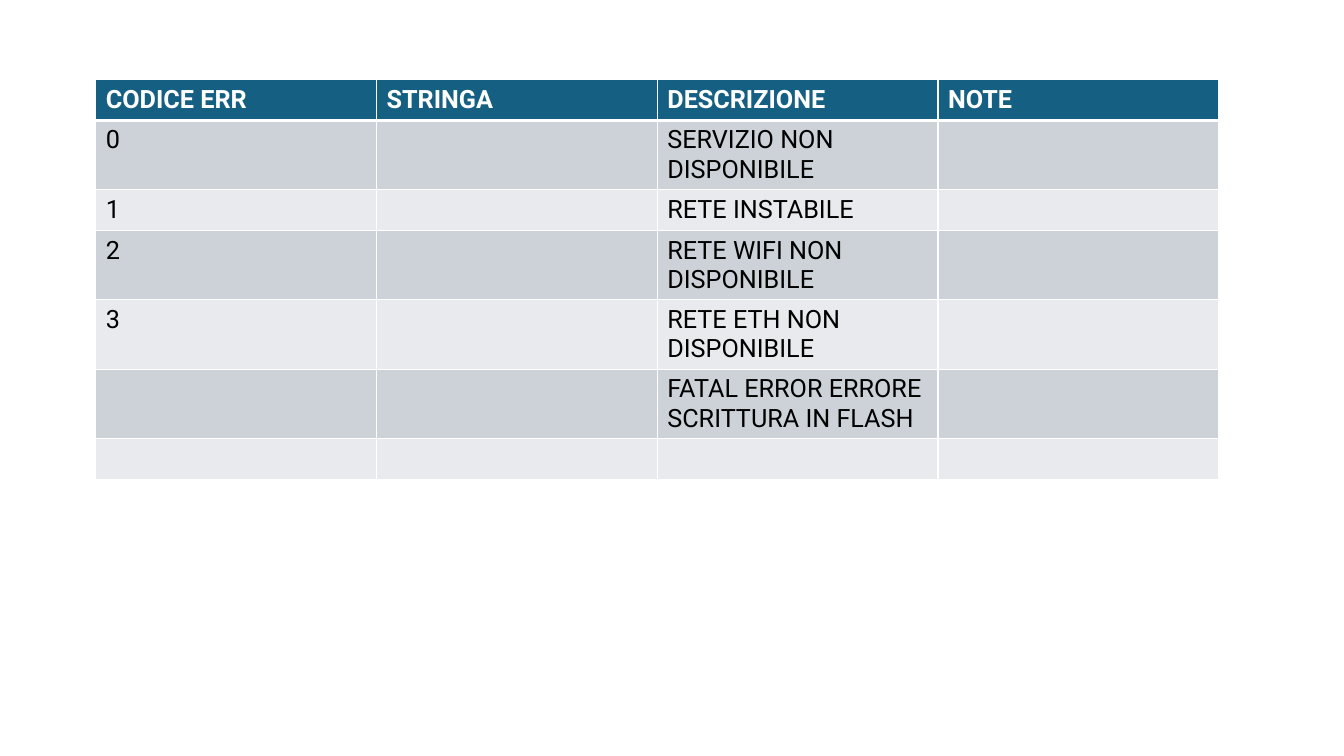
from lxml.etree import SubElement
from pptx import Presentation
from pptx.dml.color import RGBColor
from pptx.oxml.ns import qn
from pptx.util import Inches, Pt

WHITE = RGBColor(0xFF, 0xFF, 0xFF)
BLACK = RGBColor(0x00, 0x00, 0x00)
TEAL = RGBColor(0x15, 0x60, 0x82)
GREY = RGBColor(0xCC, 0xD2, 0xD8)
PALE = RGBColor(0xE8, 0xEA, 0xED)

ROWS = [
    ("CODICE ERR", "STRINGA", "DESCRIZIONE", "NOTE"),
    ("0", "", "SERVIZIO NON DISPONIBILE", ""),
    ("1", "", "RETE INSTABILE", ""),
    ("2", "", "RETE WIFI NON DISPONIBILE", ""),
    ("3", "", "RETE ETH NON DISPONIBILE", ""),
    ("", "", "FATAL ERROR ERRORE SCRITTURA IN FLASH", ""),
    ("", "", "", ""),
]


def write(frame, text, size=18, color=BLACK, bold=False):
    """Put formatted text in a frame."""
    run = frame.paragraphs[0].add_run()
    run.text = text
    run.font.name = "Roboto"
    run.font.size = Pt(size)
    run.font.bold = bold
    run.font.color.rgb = color


def edge(cell, side, width):
    """Draw one white border of a cell."""
    props = cell._tc.get_or_add_tcPr()
    line = SubElement(props, qn(f"a:ln{side}"), w=str(Pt(width)))
    fill = SubElement(line, qn("a:solidFill"))
    SubElement(fill, qn("a:srgbClr"), val=str(WHITE))


def style(cell, fill, top=1, bottom=1):
    """Give a cell its borders and fill."""
    for side, width in (("L", 1), ("R", 1), ("T", top), ("B", bottom)):
        edge(cell, side, width)
    cell.fill.solid()
    cell.fill.fore_color.rgb = fill


def add_grid(slide, rows, left, top, width, height):
    """Add the table of error codes."""
    frame = slide.shapes.add_table(
        len(rows), len(rows[0]),
        Inches(left), Inches(top), Inches(width), Inches(height))
    for i, row in enumerate(rows):
        head = i == 0
        fill = TEAL if head else GREY if i % 2 else PALE
        for j, text in enumerate(row):
            cell = frame.table.cell(i, j)
            style(cell, fill, top=3 if i == 1 else 1, bottom=3 if head else 1)
            if text:
                write(cell.text_frame, text,
                      color=WHITE if head else BLACK, bold=head)


def main():
    """Build and save the slide."""
    deck = Presentation()
    deck.slide_width = Inches(13.33)
    deck.slide_height = Inches(7.5)
    slide = deck.slides.add_slide(deck.slide_layouts[6])
    add_grid(slide, ROWS, 0.95, 0.79, 11.14, 2.84)
    deck.save("out.pptx")


if __name__ == "__main__":
    main()
